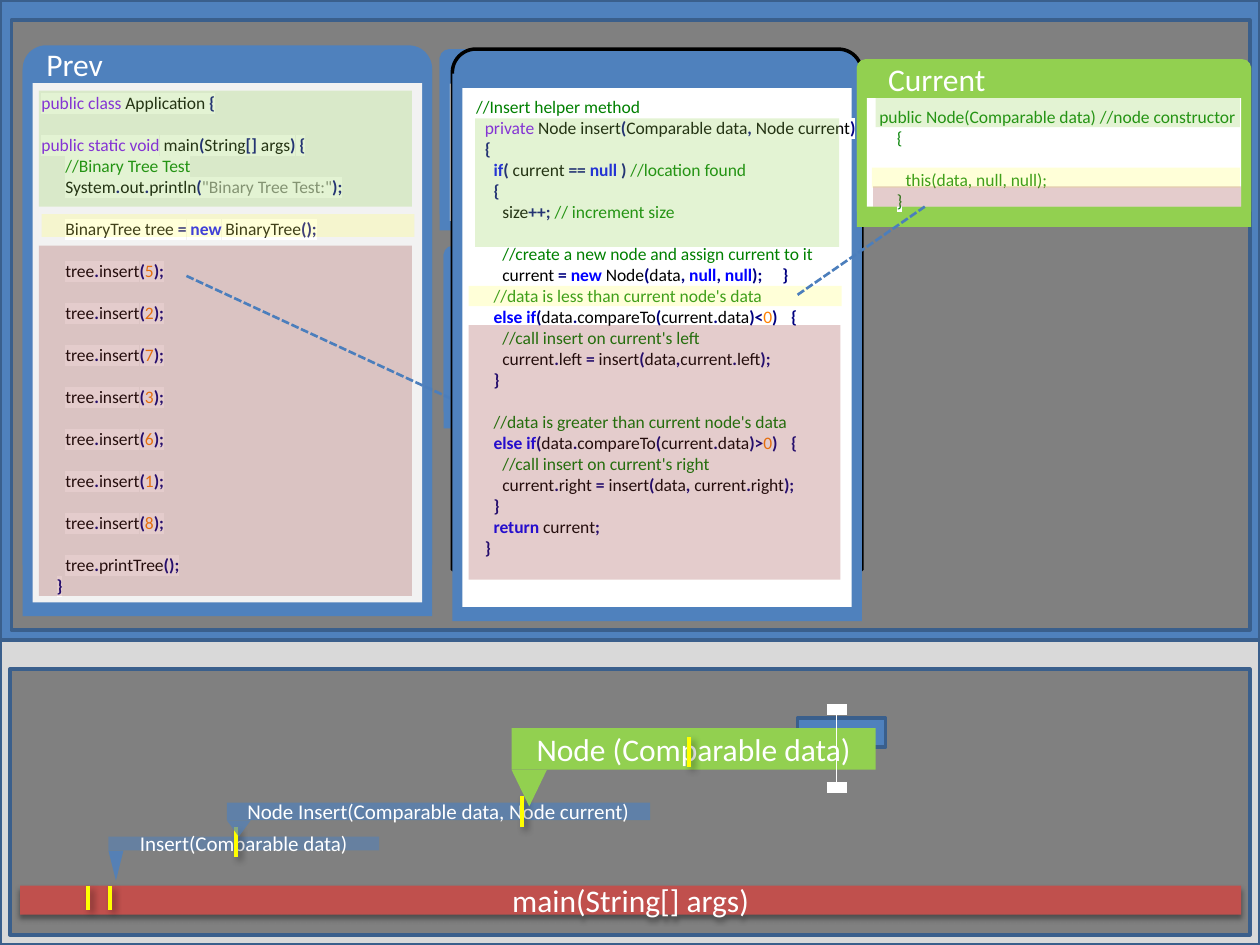
from itertools import groupby

from lxml import etree
from pptx import Presentation
from pptx.dml.color import RGBColor
from pptx.enum.dml import MSO_LINE
from pptx.enum.shapes import MSO_CONNECTOR, MSO_SHAPE
from pptx.enum.text import MSO_ANCHOR, PP_ALIGN
from pptx.oxml.ns import qn
from pptx.util import Inches, Pt

RECT, ROUND_TOP = MSO_SHAPE.RECTANGLE, MSO_SHAPE.ROUND_2_SAME_RECTANGLE
TRIANGLE, STRAIGHT = MSO_SHAPE.ISOSCELES_TRIANGLE, MSO_CONNECTOR.STRAIGHT
DASH, MIDDLE, CENTER = MSO_LINE.SQUARE_DOT, MSO_ANCHOR.MIDDLE, PP_ALIGN.CENTER

FONT = "Calibri"
BLUE, EDGE, GRAY, WHITE, BLACK = "4F81BD", "3A5F8C", "808080", "FFFFFF", "000000"
GREEN, YELLOW, RED, PALE = "92D050", "FFFF66", "953735", "F2F2F2"
COMMENT, STRING, NUMBER, MARK = "008000", "808080", "FF8000", "000080"
KEYWORDS = {word: ("8000FF", False) for word in "public class static void private".split()}
KEYWORDS |= {word: ("0000FF", True) for word in "new null if else return".split()}
LINE_PITCH = 12
FINE_TABS = [5 / 72 * step for step in range(1, 38)]

APPLICATION = """public class Application {

public static void main(String[] args) {
\t\t//Binary Tree Test
\t\tSystem.out.println("Binary Tree Test:");

\t\tBinaryTree tree = new BinaryTree();

""" + "".join(f"\t\ttree.insert({value});\n\n" for value in (5, 2, 7, 3, 6, 1, 8)) + """\t\ttree.printTree();
\t}"""

INSERT = """//Insert helper method
\tprivate Node insert(Comparable data, Node current)
\t{
\t\tif( current == null ) //location found
\t\t{
\t\t\tsize++; // increment size

\t\t\t//create a new node and assign current to it
\t\t\tcurrent = new Node(data, null, null); \t\t}
\t\t//data is less than current node's data
\t\telse if(data.compareTo(current.data)<0) \t\t{
\t\t\t//call insert on current's left
\t\t\tcurrent.left = insert(data,current.left);
\t\t}

\t\t//data is greater than current node's data
\t\telse if(data.compareTo(current.data)>0) \t\t{
\t\t\t//call insert on current's right
\t\t\tcurrent.right = insert(data, current.right);
\t\t}
\t\treturn current;
\t}"""

CONSTRUCTOR = """public Node(Comparable data) //node constructor
\t\t{

\t\t\tthis(data, null, null);
\t\t}"""


def rgb(value):
    return RGBColor.from_string(value)


def add_effects(item, shadow=None):
    """Give an item its own effect list; shadow is alpha, blur, distance, angle."""
    effects = etree.SubElement(item._element.spPr, qn("a:effectLst"))
    if shadow:
        alpha, blur, distance, angle = shadow
        outer = etree.SubElement(effects, qn("a:outerShdw"), blurRad=str(Pt(blur)),
                                 dist=str(Pt(distance)), dir=str(angle * 60000), rotWithShape="0")
        colour = etree.SubElement(outer, qn("a:srgbClr"), val=BLACK)
        etree.SubElement(colour, qn("a:alpha"), val=str(alpha * 1000))


def add_block(target, box, fill, kind=RECT, edge=None, alpha=100, shadow=None):
    block = target.add_shape(kind, *map(Inches, box))
    block.fill.solid()
    block.fill.fore_color.rgb = rgb(fill)
    if alpha < 100:
        colour = block._element.spPr.find(qn("a:solidFill"))[0]
        etree.SubElement(colour, qn("a:alpha"), val=str(alpha * 1000))
    if edge:
        block.line.color.rgb, block.line.width = rgb(edge), Pt(2)
    else:
        block.line.fill.background()
    add_effects(block, shadow)
    return block


def add_line(target, start, end, colour, width, dash=None, shadow=None):
    line = target.add_connector(STRAIGHT, *map(Inches, (*start, *end)))
    line.line.color.rgb, line.line.width = rgb(colour), Pt(width)
    if dash:
        line.line.dash_style = dash
    add_effects(line, shadow)


def add_tick(target, left, top, height=0.24):
    add_line(target, (left, top), (left, top + height), "FFFF00", 2.25, shadow=(40, 4, 3, 45))


def add_span(para, words, size, colour, bold=False, highlight=False):
    span = para.add_run()
    span.text = words
    span.font.name, span.font.size, span.font.bold = FONT, Pt(size), bold
    span.font.color.rgb = rgb(colour)
    if highlight:
        marker = etree.Element(qn("a:highlight"))
        etree.SubElement(marker, qn("a:srgbClr"), val=WHITE)
        span._r.rPr.find(qn("a:solidFill")).addnext(marker)


def add_text_box(target, box):
    frame = target.add_textbox(*map(Inches, box)).text_frame
    frame.word_wrap, frame.margin_right = True, 0
    return frame


def char_kind(char):
    return "space" if char.isspace() else "word" if char.isalnum() else "mark"


def colour_code(line):
    """Yield text, colour and weight for each token of a code line."""
    code, slashes, remark = line.partition("//")
    for index, part in enumerate(code.split('"')):
        if index % 2:
            yield f'"{part}"', STRING, False
            continue
        for kind, chars in groupby(part, char_kind):
            token = "".join(chars)
            if kind == "mark":
                yield token, MARK, True
            elif token.isdigit():
                yield token, NUMBER, False
            else:
                yield token, *KEYWORDS.get(token, (BLACK, False))
    if slashes:
        yield slashes + remark, COMMENT, False


def add_code(target, box, code, tabs, plain=False):
    frame = add_text_box(target, box)
    para, gap = frame.paragraphs[0], 0
    for number, line in enumerate(code.split("\n")):
        if not line:
            gap += LINE_PITCH
            continue
        para = frame.add_paragraph() if number else para
        para.space_before, gap = Pt(gap), 0
        stops = etree.SubElement(para._p.get_or_add_pPr(), qn("a:tabLst"))
        for stop in tabs:
            etree.SubElement(stops, qn("a:tab"), pos=str(Inches(stop)), algn="l")
        for token, colour, bold in [(line, COMMENT, False)] if plain else colour_code(line):
            add_span(para, token, 10, colour, bold, highlight=True)


def add_panel(page, box, sheet_top, sheet_height, fill=BLUE, sheet=PALE, edge=None):
    """Window with rounded head, body and inner sheet, as shares of the box."""
    left, top, width, height = box
    window = page.shapes.add_group_shape().shapes
    head = add_block(window, (left, top, width, 0.91 * height), fill, ROUND_TOP, edge)
    head.adjustments[0], head.adjustments[1] = 0.057, 0
    add_block(window, (left, top + 0.043 * height, width, 0.957 * height), fill)
    add_block(window, (left + 0.08, top + sheet_top * height, width - 0.16,
                       sheet_height * height), sheet)


def add_bands(page, box, bands):
    """Translucent state bands, placed from the panel's corner."""
    for colour, left, top, width, height in bands:
        add_block(page.shapes, (box[0] + left, box[1] + top, width, height), colour, alpha=25)


def add_heading(page, box, words):
    add_span(add_text_box(page.shapes, box).paragraphs[0], words, 18, WHITE)


def add_call(page, box, words, size, fill, pointer, alphas=(100, 100), shadow=None):
    """Stack bar with a pointer (width, height) hanging from its left end."""
    group = page.shapes.add_group_shape().shapes
    if pointer:
        tip = add_block(group, (box[0], box[1] + box[3], *pointer), fill, TRIANGLE, alpha=alphas[0])
        tip.rotation = 180
    bar = add_block(group, box, fill, alpha=alphas[1], shadow=shadow)
    frame = bar.text_frame
    frame.word_wrap, frame.vertical_anchor = True, MIDDLE
    frame.paragraphs[0].alignment = CENTER
    add_span(frame.paragraphs[0], words, size, WHITE)
    return group


def build_windows(page):
    prev, insert, current = (0.18, 0.36, 3.25, 4.53), (3.59, 0.39, 3.25, 4.54), (6.8, 0.47, 3.13, 1.33)
    # Calling program
    add_panel(page, prev, 0.066, 0.91)
    add_heading(page, (0.27, 0.31, 0.65, 0.4), "Prev")
    add_code(page.shapes, (0.23, 0.68, 2.65, 4.14), APPLICATION, (0.12, 0.19))
    add_bands(page, prev, [(YELLOW, 0.15, 1.34, 2.96, 0.18), (GREEN, 0.13, 0.36, 2.96, 0.92),
                           (RED, 0.13, 1.59, 2.96, 2.78)])
    # Windows behind the insert method
    add_panel(page, (3.49, 0.39, 2.86, 1.44), 0.19, 0.757)
    add_panel(page, (3.52, 1.95, 2.89, 1.45), 0.19, 0.757)
    add_line(page.shapes, (1.48, 2.19), (3.83, 3.28), "4B7EBC", 1.5, DASH)
    # Insert method
    add_panel(page, insert, 0.068, 0.907, sheet=WHITE, edge=BLACK)
    add_code(page.shapes, (3.68, 0.71, 3.22, 3.97), INSERT, FINE_TABS)
    add_bands(page, insert, [(YELLOW, 0.13, 1.88, 2.96, 0.16), (RED, 0.13, 2.19, 2.95, 2.02),
                             (GREEN, 0.18, 0.55, 2.89, 1.02)])
    # Current constructor
    add_panel(page, current, 0.233, 0.647, GREEN, WHITE)
    add_code(page.shapes, (6.88, 0.79, 3.05, 0.94), CONSTRUCTOR, FINE_TABS, plain=True)
    add_bands(page, current, [(YELLOW, 0.12, 0.86, 2.92, 0.16), (RED, 0.13, 1.01, 2.92, 0.16),
                              (GREEN, 0.15, 0.31, 2.89, 0.23)])
    add_line(page.shapes, (6.33, 2.34), (7.34, 1.64), "4B7EBC", 1.5, DASH)
    add_heading(page, (6.95, 0.43, 0.98, 0.4), "Current")


def build_call_stack(page):
    main = add_call(page, (0.16, 7.03, 9.69, 0.23), "main(String[] args)", 18, "C0504D", None,
                    shadow=(38, 3.1, 1.6, 90))
    for left in (0.7, 0.87):
        add_tick(main, left, 7.03, 0.19)
    outer = add_call(page, (0.86, 6.64, 2.15, 0.11), "Insert(Comparable data)", 12, BLUE,
                     (0.12, 0.24), (87, 53))
    add_tick(outer, 1.87, 6.56)
    add_call(page, (1.8, 6.37, 3.36, 0.14), "Node Insert(Comparable data, Node current)", 12, BLUE,
             (0.19, 0.13), (67, 67))
    add_tick(page.shapes, 4.14, 6.32)
    add_block(page.shapes, (6.33, 5.7, 0.7, 0.23), BLUE, edge=EDGE)
    add_call(page, (4.06, 5.78, 2.89, 0.33), "Node (Comparable data)", 18, GREEN, (0.28, 0.29))
    add_tick(page.shapes, 5.47, 5.85)
    # Time cursor
    cursor = page.shapes.add_group_shape().shapes
    add_line(cursor, (6.64, 5.63), (6.64, 6.25), WHITE, 1)
    for top in (5.63, 6.25):
        add_line(cursor, (6.56, top), (6.72, top), WHITE, 6)


deck = Presentation()
deck.slide_width, deck.slide_height = Inches(10), Inches(7.5)
page = deck.slides.add_slide(deck.slide_layouts[6])
# Backdrops
for box, fill in (((0, 5.08, 10, 2.42), "D9D9D9"), ((0, 0, 10, 5.08), BLUE),
                  ((0.08, 5.31, 9.84, 2.11), GRAY), ((0.09, 0.16, 9.83, 4.84), GRAY)):
    add_block(page.shapes, box, fill, edge=EDGE)
build_windows(page)
build_call_stack(page)
deck.save("out.pptx")
